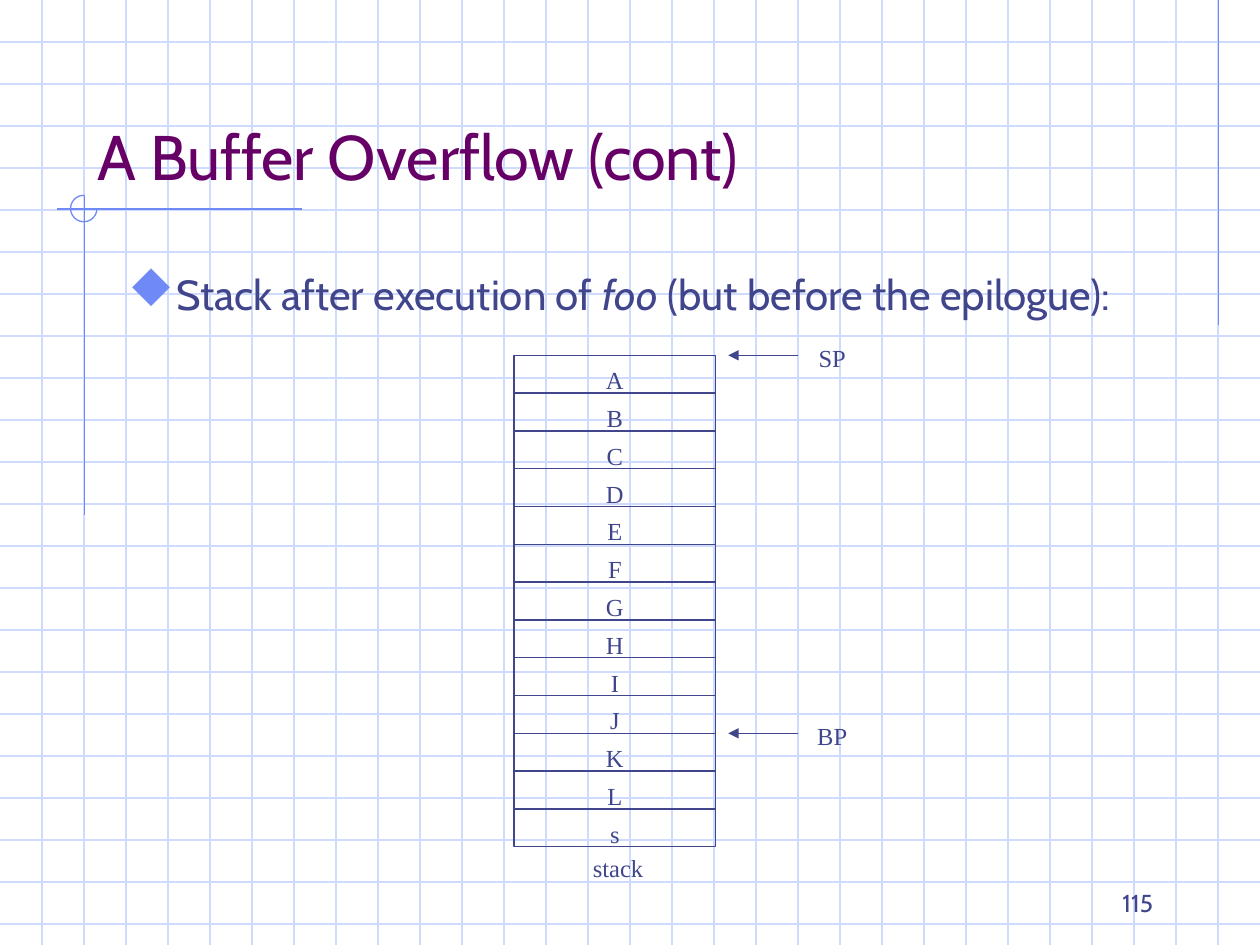
"""Build the buffer overflow slide with its stack diagram."""
from lxml import etree
from pptx import Presentation
from pptx.dml.color import RGBColor
from pptx.enum.shapes import MSO_CONNECTOR, MSO_SHAPE
from pptx.enum.text import MSO_ANCHOR, MSO_AUTO_SIZE, PP_ALIGN
from pptx.oxml.ns import qn
from pptx.util import Inches, Pt

STRAIGHT = MSO_CONNECTOR.STRAIGHT
RECT, ARC = MSO_SHAPE.RECTANGLE, MSO_SHAPE.ARC
TOP, BOTTOM = MSO_ANCHOR.TOP, MSO_ANCHOR.BOTTOM
LEFT, CENTER, RIGHT = PP_ALIGN.LEFT, PP_ALIGN.CENTER, PP_ALIGN.RIGHT
NO_FIT = MSO_AUTO_SIZE.NONE

GRID = RGBColor(0xCF, 0xDB, 0xFD)
ACCENT = RGBColor(0x6F, 0x89, 0xF7)
INK = RGBColor(0x40, 0x45, 0x8C)
PLUM = RGBColor(0x66, 0x00, 0x66)
SANS, SERIF, SYMBOL = "Cabin", "Times New Roman", "Wingdings"
DIAMOND = "u"

TITLE = "A Buffer Overflow (cont)"
BULLET = [("Stack after execution of ", False), ("foo", True),
          (" (but before the epilogue):", False)]
CELLS = "ABCDEFGHIJKLs"
MARKS = [("SP", 0), ("BP", 10)]
CAPTION = "stack"
NUMBER = "115"
RULES = [(9.67, 0, 9.67, 2.58), (2.4, 1.66, 0.45, 1.66), (0.67, 1.55, 0.67, 4.09)]

WIDE, HIGH, STEP = 10, 7.5, 1 / 3
STACK_X, STACK_Y, CELL_W, CELL_H = 4.08, 2.82, 1.6, 0.3
LABEL_H = 0.34


def add_line(shapes, ends, color, arrow=False):
    line = shapes.add_connector(STRAIGHT, *[Inches(v) for v in ends])
    line.line.color.rgb = color
    line.line.width = Pt(0.75)
    props = line._element.spPr
    if arrow:
        etree.SubElement(props.find(qn("a:ln")), qn("a:tailEnd"), type="triangle")
    etree.SubElement(props, qn("a:effectLst"))


def add_shape(shapes, kind, place, color):
    shape = shapes.add_shape(kind, *[Inches(v) for v in place])
    shape.shadow.inherit = False
    shape.fill.background()
    shape.line.color.rgb = color
    shape.line.width = Pt(0.75)
    return shape


def style(para, font, size, color, align=LEFT):
    para.alignment = align
    para.font.name = font
    para.font.size = Pt(size)
    para.font.color.rgb = color


def add_box(shapes, place, anchor=TOP):
    frame = shapes.add_textbox(*[Inches(v) for v in place]).text_frame
    frame.word_wrap = True
    frame.vertical_anchor = anchor
    return frame.paragraphs[0]


def add_label(shapes, text, x, y, width):
    para = add_box(shapes, (x, y, width, LABEL_H))
    para.text = text
    style(para, SERIF, 14, INK, CENTER)


def add_bullet(para):
    props = para._p.get_or_add_pPr()
    props.set("marL", str(Inches(0.38)))
    props.set("indent", str(-Inches(0.38)))
    tint = etree.SubElement(props, qn("a:buClr"))
    etree.SubElement(tint, qn("a:srgbClr"), val=str(ACCENT))
    etree.SubElement(props, qn("a:buSzPct"), val="110000")
    etree.SubElement(props, qn("a:buFont"), typeface=SYMBOL,
                     pitchFamily="2", charset="2")
    etree.SubElement(props, qn("a:buChar"), char=DIAMOND)


def draw_back(shapes):
    for i in range(1, int(HIGH / STEP) + 1):
        add_line(shapes, (0, i * STEP, WIDE, i * STEP), GRID)
    for i in range(1, round(WIDE / STEP)):
        add_line(shapes, (i * STEP, 0, i * STEP, HIGH), GRID)
    for ends in RULES:
        add_line(shapes, ends, ACCENT)
    ring = add_shape(shapes, ARC, (0.56, 1.55, 0.21, 0.21), ACCENT)
    ring.adjustments[0] = 0
    ring.adjustments[1] = 162


def draw_text(shapes):
    title = shapes.title
    title.left, title.top = Inches(0.67), Inches(0.33)
    title.width, title.height = Inches(8.5), Inches(1.25)
    frame = title.text_frame
    frame.text = TITLE
    frame.auto_size = NO_FIT
    frame.vertical_anchor = BOTTOM
    style(frame.paragraphs[0], SANS, 36, PLUM)
    shapes._spTree.append(title._element)

    para = add_box(shapes, (0.92, 2.08, 8.5, 4.5))
    add_bullet(para)
    for text, slant in BULLET:
        run = para.add_run()
        run.text = text
        run.font.italic = slant
    style(para, SANS, 24, INK)

    para = add_box(shapes, (7.17, 6.83, 2.08, 0.5), BOTTOM)
    para.text = NUMBER
    style(para, SANS, 14, INK, RIGHT)


def draw_stack(shapes):
    for i, name in enumerate(CELLS):
        y = STACK_Y + i * CELL_H
        add_shape(shapes, RECT, (STACK_X, y, CELL_W, CELL_H), INK)
        add_label(shapes, name, STACK_X + 0.1, y + 0.03, CELL_W - 0.2)
    for name, row in MARKS:
        y = STACK_Y + row * CELL_H
        add_line(shapes, (6.33, y, 5.78, y), INK, arrow=True)
        add_label(shapes, name, 6.28, y - 0.15, 0.65)
    base = STACK_Y + len(CELLS) * CELL_H
    add_label(shapes, CAPTION, STACK_X, base, 1.65)


def main():
    deck = Presentation()
    deck.slide_width, deck.slide_height = Inches(WIDE), Inches(HIGH)
    shapes = deck.slides.add_slide(deck.slide_layouts[5]).shapes
    draw_back(shapes)
    draw_text(shapes)
    draw_stack(shapes)
    deck.save("out.pptx")


if __name__ == "__main__":
    main()
